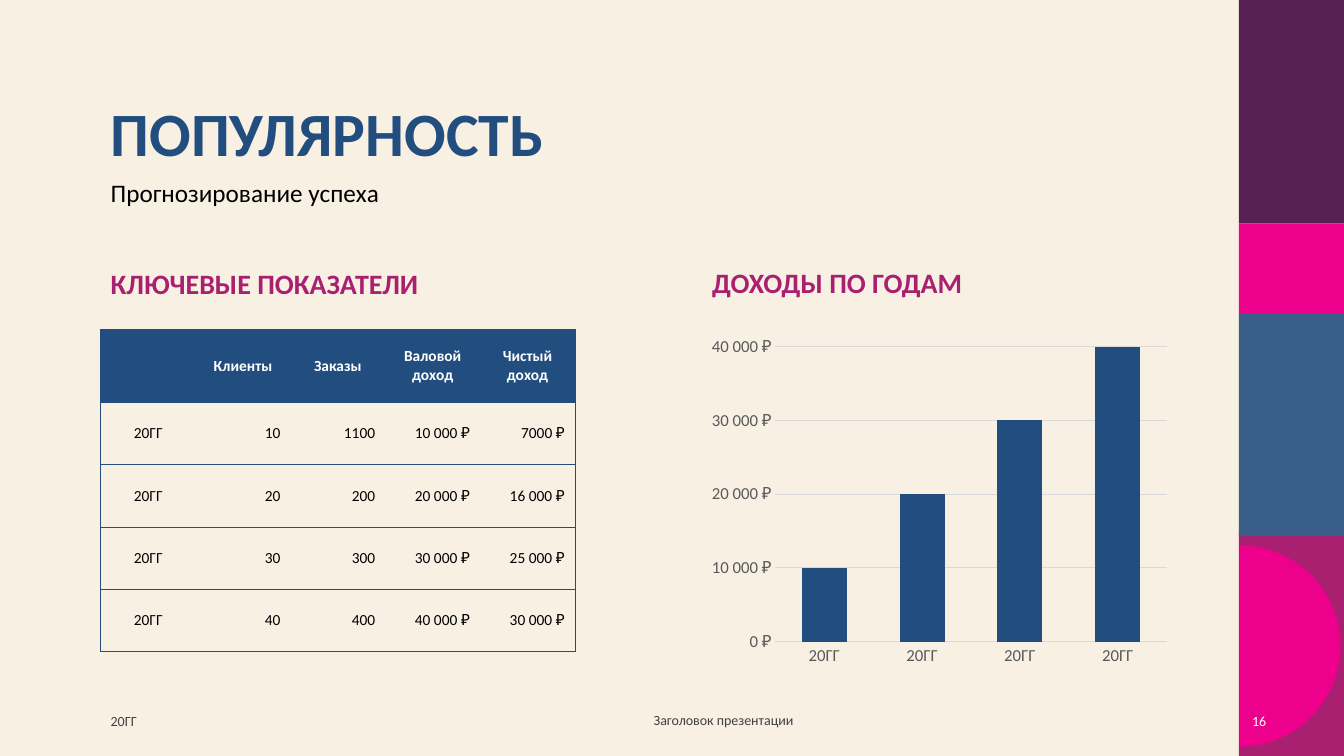
import math
from dataclasses import dataclass

import pptx
import pptx.chart.data
import pptx.dml.color
import pptx.enum.chart
import pptx.enum.shapes
import pptx.enum.text
import pptx.oxml
import pptx.oxml.ns
import pptx.util

Cm = pptx.util.Cm
Pt = pptx.util.Pt
RGB = pptx.dml.color.RGBColor.from_string
ALIGN = pptx.enum.text.PP_ALIGN
ANCHOR = pptx.enum.text.MSO_ANCHOR


@dataclass(frozen=True)
class Theme:
    font: str = "Calibri"
    cream: str = "F8F0E3"
    navy: str = "224E7F"
    steel: str = "385E88"
    plum: str = "582156"
    berry: str = "AA2070"
    pink: str = "EC008C"
    black: str = "000000"
    white: str = "FFFFFF"
    footer: str = "404040"
    axis: str = "595959"
    grid: str = "D9D9D9"
    title_pt: int = 44
    subtitle_pt: int = 18
    heading_pt: int = 20
    axis_pt: int = 12
    cell_pt: int = 11
    footer_pt: int = 10
    border_pt: float = 0.5
    grid_pt: float = 0.75


THEME = Theme()


@dataclass(frozen=True)
class Band:
    top: float
    height: float
    color: str


@dataclass(frozen=True)
class Label:
    text: str
    left: float
    top: float
    width: float
    height: float
    size: int
    color: str
    bold: bool = False
    align: ALIGN = ALIGN.LEFT
    anchor: ANCHOR = ANCHOR.MIDDLE
    body: bool = True


MARGIN, CHART_LEFT, PANEL_TOP, PANEL_WIDTH = 2.54, 17.7, 8.31, 11.94
BAND_LEFT, BAND_WIDTH = 31.22, 2.82
DISC_LEFT, DISC_TOP, DISC_RADIUS, DISC_STEPS = 31.24, 13.74, 2.54, 60
COLUMN_WIDTH, HEADER_HEIGHT, ROW_HEIGHT = 2.39, 1.83, 1.57

BANDS = [
    Band(13.41, 5.64, THEME.berry),
    Band(7.87, 5.64, THEME.steel),
    Band(0, 5.64, THEME.plum),
    Band(5.64, 2.26, THEME.pink),
]

LABELS = [
    Label("ПОПУЛЯРНОСТЬ", MARGIN, 2.49, 25.35, 3.68, THEME.title_pt, THEME.navy,
          bold=True, anchor=ANCHOR.TOP),
    Label("Прогнозирование успеха", MARGIN, 4.42, 25.35, 1.68, THEME.subtitle_pt,
          THEME.black, anchor=ANCHOR.TOP),
    Label("КЛЮЧЕВЫЕ ПОКАЗАТЕЛИ", MARGIN, 6.55, PANEL_WIDTH, 1.27, THEME.heading_pt,
          THEME.berry, bold=True),
    Label("ДОХОДЫ ПО ГОДАМ", CHART_LEFT, 6.53, PANEL_WIDTH, 1.27, THEME.heading_pt,
          THEME.berry, bold=True),
    Label("20ГГ", MARGIN, 17.65, 3.05, 1.02, THEME.footer_pt, THEME.footer, body=False),
    Label("Заголовок презентации", 15.06, 17.63, 6.35, 1.02, THEME.footer_pt,
          THEME.footer, align=ALIGN.CENTER, body=False),
    Label("16", 30.89, 17.65, 1.27, 1.02, THEME.footer_pt, THEME.white,
          align=ALIGN.RIGHT, body=False),
]

METRICS = [
    ["", "Клиенты", "Заказы", "Валовой доход", "Чистый доход"],
    ["20ГГ", "10", "1100", "10 000 ₽", "7000 ₽"],
    ["20ГГ", "20", "200", "20 000 ₽", "16 000 ₽"],
    ["20ГГ", "30", "300", "30 000 ₽", "25 000 ₽"],
    ["20ГГ", "40", "400", "40 000 ₽", "30 000 ₽"],
]
INCOME = [10000, 20000, 30000, 40000]


def apply(target: object, values: dict) -> None:
    for name, value in values.items():
        setattr(target, name, value)


def set_font(font: pptx.text.text.Font, size: int, color: str, bold: bool = False) -> None:
    apply(font, {"name": THEME.font, "size": Pt(size), "bold": bold})
    font.color.rgb = RGB(color)


def paint(sp: pptx.shapes.autoshape.Shape, color: str) -> None:
    sp.fill.solid()
    sp.fill.fore_color.rgb = RGB(color)
    sp.line.fill.background()
    sp.shadow.inherit = False


def add_band(s: pptx.slide.Slide, band: Band) -> None:
    sp = s.shapes.add_shape(pptx.enum.shapes.MSO_SHAPE.RECTANGLE, Cm(BAND_LEFT),
                            Cm(band.top), Cm(BAND_WIDTH), Cm(band.height))
    paint(sp, band.color)


def add_half_disc(s: pptx.slide.Slide) -> None:
    angles = [math.pi * (i / DISC_STEPS - 0.5) for i in range(DISC_STEPS + 1)]
    points = [(Cm(DISC_LEFT + DISC_RADIUS * math.cos(a)),
               Cm(DISC_TOP + DISC_RADIUS * (1 + math.sin(a)))) for a in angles]
    builder = s.shapes.build_freeform(*points[0])
    builder.add_line_segments(points[1:], close=True)
    paint(builder.convert_to_shape(), THEME.pink)


def add_label(s: pptx.slide.Slide, label: Label) -> None:
    sp = s.shapes.add_textbox(Cm(label.left), Cm(label.top), Cm(label.width), Cm(label.height))
    tf = sp.text_frame
    apply(tf, {"word_wrap": True, "vertical_anchor": label.anchor})
    p = tf.paragraphs[0]
    p.alignment = label.align
    if label.body:
        apply(p, {"line_spacing": 0.9, "space_before": Pt(10)})
    r = p.add_run()
    r.text = label.text
    set_font(r.font, label.size, label.color, label.bold)


def set_borders(cell: pptx.table._Cell, sides: str) -> None:
    tc_pr = cell._tc.get_or_add_tcPr()
    for side in "LRTB":
        paint_xml = (f'<a:solidFill><a:srgbClr val="{THEME.navy}"/></a:solidFill>'
                     if side in sides else "<a:noFill/>")
        tc_pr.append(pptx.oxml.parse_xml(
            f'<a:ln{side} {pptx.oxml.ns.nsdecls("a")} w="{Pt(THEME.border_pt)}">'
            f'{paint_xml}</a:ln{side}>'))


def add_metrics(s: pptx.slide.Slide) -> None:
    last = len(METRICS[0]) - 1
    height = HEADER_HEIGHT + ROW_HEIGHT * (len(METRICS) - 1)
    table = s.shapes.add_table(len(METRICS), last + 1, Cm(MARGIN), Cm(PANEL_TOP),
                               Cm(PANEL_WIDTH), Cm(height)).table
    table.horz_banding = False
    for column in table.columns:
        column.width = Cm(COLUMN_WIDTH)
    for i, values in enumerate(METRICS):
        header = i == 0
        table.rows[i].height = Cm(HEADER_HEIGHT if header else ROW_HEIGHT)
        for j, value in enumerate(values):
            cell = table.cell(i, j)
            cell.vertical_anchor = ANCHOR.MIDDLE
            set_borders(cell, "TB" + "L" * (j == 0) + "R" * (j == last))
            if header:
                cell.fill.solid()
                cell.fill.fore_color.rgb = RGB(THEME.navy)
            else:
                cell.fill.background()
            p = cell.text_frame.paragraphs[0]
            p.alignment = ALIGN.CENTER if header or j == 0 else ALIGN.RIGHT
            color = THEME.white if header else THEME.black
            set_font(p.font, THEME.cell_pt, color, header)
            if value:
                r = p.add_run()
                r.text = value
                set_font(r.font, THEME.cell_pt, color, header)


def add_income_chart(s: pptx.slide.Slide) -> None:
    data = pptx.chart.data.CategoryChartData()
    data.categories = ["20ГГ"] * len(INCOME)
    data.add_series("Series 1", INCOME)
    chart = s.shapes.add_chart(pptx.enum.chart.XL_CHART_TYPE.COLUMN_CLUSTERED, Cm(CHART_LEFT),
                               Cm(PANEL_TOP), Cm(PANEL_WIDTH), Cm(8.64), data).chart
    apply(chart, {"has_legend": False, "has_title": False})
    set_font(chart.font, THEME.footer_pt, THEME.black)
    plot = chart.plots[0]
    apply(plot, {"gap_width": 118, "overlap": -3, "vary_by_categories": False})
    fill = plot.series[0].format.fill
    fill.solid()
    fill.fore_color.rgb = RGB(THEME.navy)
    for axis in (chart.category_axis, chart.value_axis):
        apply(axis, {"major_tick_mark": pptx.enum.chart.XL_TICK_MARK.NONE,
                     "minor_tick_mark": pptx.enum.chart.XL_TICK_MARK.NONE})
        set_font(axis.tick_labels.font, THEME.axis_pt, THEME.axis)
    values = chart.value_axis
    apply(values, {"minimum_scale": 0, "maximum_scale": 40000, "major_unit": 10000})
    apply(values.tick_labels, {"number_format": '#\\ ##0\\ "₽"',
                               "number_format_is_linked": False})
    values.format.line.fill.background()
    for line in (chart.category_axis.format.line, values.major_gridlines.format.line):
        line.width = Pt(THEME.grid_pt)
        line.color.rgb = RGB(THEME.grid)


def main() -> None:
    prs = pptx.Presentation()
    apply(prs, {"slide_width": Cm(33.87), "slide_height": Cm(19.05)})
    s = prs.slides.add_slide(prs.slide_layouts[6])
    s.background.fill.solid()
    s.background.fill.fore_color.rgb = RGB(THEME.cream)
    for band in BANDS:
        add_band(s, band)
    add_half_disc(s)
    add_metrics(s)
    add_income_chart(s)
    for label in LABELS:
        add_label(s, label)
    prs.save("out.pptx")


if __name__ == "__main__":
    main()
